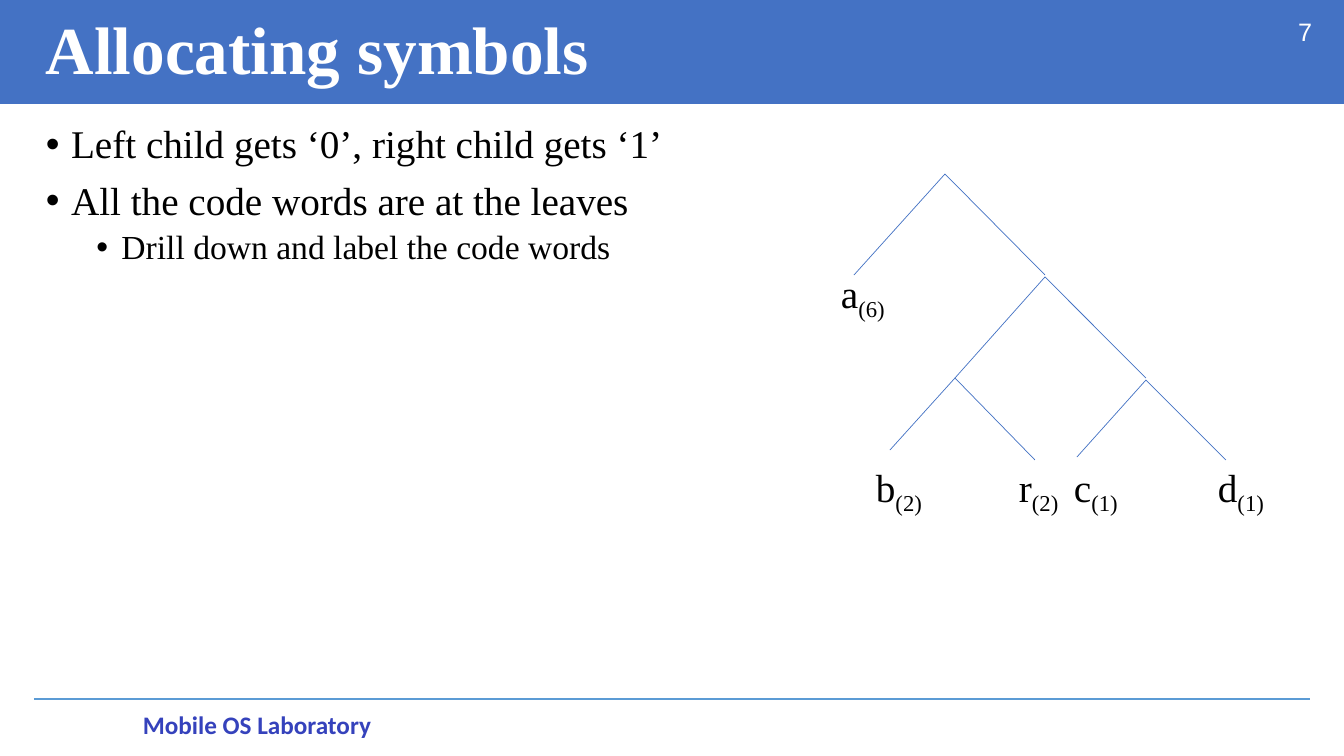
from dataclasses import dataclass

from lxml.etree import SubElement
from pptx import Presentation
from pptx.dml.color import RGBColor
from pptx.enum.shapes import MSO_CONNECTOR, MSO_SHAPE
from pptx.enum.text import MSO_ANCHOR, PP_ALIGN
from pptx.oxml.ns import qn
from pptx.util import Emu, Pt

SCALE = 914400 / 100.8


def px(length):
    return Emu(round(length * SCALE))


@dataclass(frozen=True)
class Theme:
    serif: str = "Times New Roman"
    sans: str = "Arial"
    footer_font: str = "Calibri"
    banner: str = "4472C4"
    rule: str = "5B9BD5"
    footer: str = "3542BC"
    light: str = "FFFFFF"
    dark: str = "000000"
    title_size: int = 48
    body_size: int = 28
    detail_size: int = 24
    small_size: int = 18


class SlideBuilder:
    """Draws styled elements on the current slide."""

    def __init__(self, page, theme):
        self.page = page
        self.theme = theme

    def banner(self, left, top, width, height):
        shape = self.page.shapes.add_shape(
            MSO_SHAPE.RECTANGLE, px(left), px(top), px(width), px(height))
        shape.shadow.inherit = False
        shape.fill.solid()
        shape.fill.fore_color.rgb = RGBColor.from_string(self.theme.banner)
        shape.line.fill.background()

    def line(self, start, end, color, weight):
        connector = self.page.shapes.add_connector(
            MSO_CONNECTOR.STRAIGHT, px(start[0]), px(start[1]), px(end[0]), px(end[1]))
        connector.line.color.rgb = RGBColor.from_string(color)
        connector.line.width = Pt(weight)
        SubElement(connector._element.spPr, qn("a:effectLst"))

    def frame(self, left, top, width, height, anchor=MSO_ANCHOR.TOP, wrap=True):
        box = self.page.shapes.add_textbox(px(left), px(top), px(width), px(height))
        box.text_frame.word_wrap = wrap
        box.text_frame.vertical_anchor = anchor
        return box.text_frame

    def style(self, para, size, color, font, bold=False):
        para.font.size = Pt(size)
        para.font.color.rgb = RGBColor.from_string(color)
        para.font.name = font
        para.font.bold = bold

    def text(self, wording, place, size, color, font, bold=False,
             align=PP_ALIGN.LEFT, anchor=MSO_ANCHOR.TOP, spacing=1.0):
        para = self.frame(*place, anchor=anchor).paragraphs[0]
        para.text = wording
        para.alignment = align
        para.line_spacing = spacing
        self.style(para, size, color, font, bold)

    def bullets(self, items, place):
        frame = self.frame(*place)
        for index, (level, wording) in enumerate(items):
            para = frame.add_paragraph() if index else frame.paragraphs[0]
            para.text = wording
            para.level = level
            para.line_spacing = 0.9
            para.space_before = Pt(5 if level else 10)
            size = self.theme.detail_size if level else self.theme.body_size
            self.style(para, size, self.theme.dark, self.theme.serif)
            properties = para._p.get_or_add_pPr()
            properties.set("marL", str(Pt(18 + 36 * level)))
            properties.set("indent", str(-Pt(18)))
            bullet_font = properties.makeelement(qn("a:buFont"), {"typeface": self.theme.sans})
            bullet = properties.makeelement(qn("a:buChar"), {"char": "•"})
            defaults = properties.find(qn("a:defRPr"))
            defaults.addprevious(bullet_font)
            defaults.addprevious(bullet)

    def leaf(self, symbol, count, left, top, width):
        para = self.frame(left, top, width, 57, wrap=False).paragraphs[0]
        self.style(para, self.theme.body_size, self.theme.dark, self.theme.serif)
        para.add_run().text = symbol
        span = para.add_run()
        span.text = f"({count})"
        span.font._element.set("baseline", "-25000")


theme = Theme()
deck = Presentation()
deck.slide_width, deck.slide_height = px(1344), px(756)
builder = SlideBuilder(deck.slides.add_slide(deck.slide_layouts[6]), theme)

builder.line((34, 699), (1310, 699), theme.rule, 1.5)
builder.text("Mobile OS Laboratory", (133, 704, 368, 40), theme.small_size,
             theme.footer, theme.footer_font, bold=True)
builder.banner(0, 0, 1344, 104)
builder.text("7", (1183, 12, 139, 40), theme.small_size, theme.light, theme.sans,
             align=PP_ALIGN.RIGHT, anchor=MSO_ANCHOR.BOTTOM)
builder.text("Allocating symbols", (36, 2, 1265, 101), theme.title_size, theme.light,
             theme.serif, bold=True, anchor=MSO_ANCHOR.MIDDLE, spacing=0.9)
builder.bullets([
    (0, "Left child gets ‘0’, right child gets ‘1’"),
    (0, "All the code words are at the leaves"),
    (1, "Drill down and label the code words"),
], (36, 120, 1265, 540))

branches = [
    ((945, 174), (854, 275), (1045, 275)),
    ((1045, 277), (955, 378), (1146, 378)),
    ((955, 378), (890, 450), (1035, 460)),
    ((1146, 380), (1077, 457), (1226, 460)),
]
for parent, *children in branches:
    for child in children:
        builder.line(parent, child, theme.banner, 0.5)

leaves = [
    ("a", 6, 831, 264, 68),
    ("b", 2, 866, 458, 71),
    ("r", 2, 1009, 458, 64),
    ("c", 1, 1064, 458, 68),
    ("d", 1, 1208, 458, 71),
]
for leaf in leaves:
    builder.leaf(*leaf)

deck.save("out.pptx")
